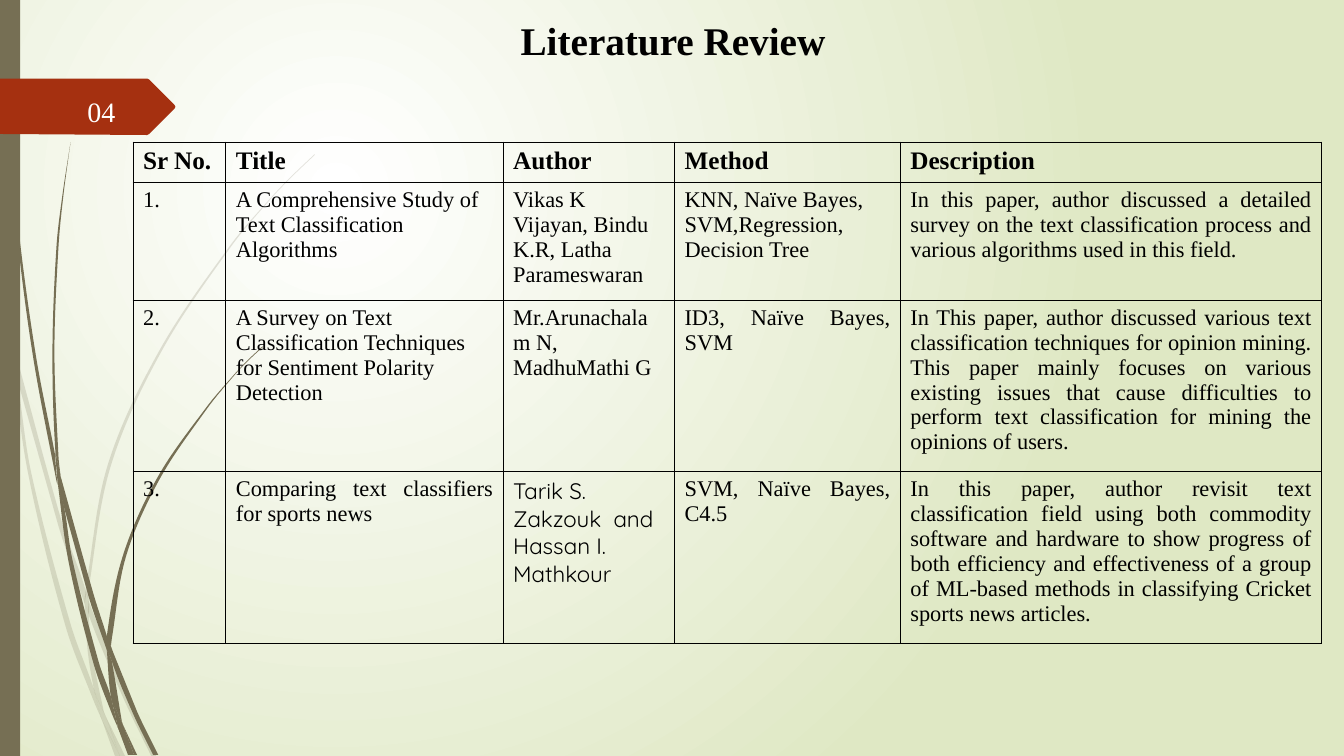
from math import dist

from lxml import etree
from pptx import Presentation
from pptx import util as u
from pptx.dml.color import RGBColor
from pptx.enum import shapes, text
from pptx.oxml.ns import qn

COLORS = {"stem": "766F54", "rust": "A53010", "ink": "000000",
          "white": "FFFFFF", "lime": "DFE8C4"}
SERIF = "Times New Roman"
LEFT, JUSTIFY, CENTER = (text.PP_ALIGN.LEFT, text.PP_ALIGN.JUSTIFY, text.PP_ALIGN.CENTER)

deck = Presentation()
deck.slide_width, deck.slide_height = u.Inches(13.33), u.Inches(7.5)
slide = deck.slides.add_slide(deck.slide_layouts[6])

backdrop = slide.background.fill
backdrop.gradient()
for stop, name in zip(backdrop.gradient_stops, ("white", "lime")):
    stop.color.rgb = RGBColor.from_string(COLORS[name])
backdrop.gradient_stops[0].position = 0
backdrop.gradient_stops[1].position = 1
gradient = slide.element.find(".//" + qn("a:gradFill"))
gradient.remove(gradient.find(qn("a:lin")))
glow = etree.SubElement(gradient, qn("a:path"), path="circle")
etree.SubElement(glow, qn("a:fillToRect"), l="50000", t="50000", r="100000", b="100000")


def style_text(frame, size, color, align, bold=False, font=SERIF):
    paragraph = frame.paragraphs[0]
    paragraph.alignment = align
    run = paragraph.runs[0].font
    run.size, run.bold, run.name = u.Pt(size), bold, font
    run.color.rgb = RGBColor.from_string(COLORS[color])


def draw_outline(points, color):
    corners = [(u.Inches(x), u.Inches(y)) for x, y in points]
    builder = slide.shapes.build_freeform(*corners[0])
    builder.add_line_segments(corners[1:])
    outline = builder.convert_to_shape()
    outline.shadow.inherit = False
    outline.fill.solid()
    outline.fill.fore_color.rgb = RGBColor.from_string(COLORS[color])
    outline.line.fill.background()
    return outline


pale_pieces = [
    [(0.11, 3.5), (0.09, 3.22), (0, 2.82), (0, 2.99), (0.1, 3.44)],
    [(0.58, 5.22), (0.84, 5.99), (0.85, 5.86), (0.62, 5.2), (0.14, 3.45), (0.17, 3.76)],
    [(0.92, 6.07), (0.88, 5.96), (0.88, 6.1), (1.23, 6.94), (1.5, 7.5), (1.55, 7.5),
     (1.27, 6.92)],
    [(1.19, 7.5), (1.24, 7.5), (1.05, 7.11)],
    [(0.93, 6.83), (0.7, 6.19), (0.31, 4.69), (0.17, 3.76), (0.11, 3.5), (0.28, 4.7),
     (0.65, 6.21), (0.92, 6.93), (1.01, 7.14), (0.99, 7.07)],
    [(0.84, 5.99), (0.87, 6.46), (0.93, 6.83), (0.96, 6.92), (1.05, 7.11), (1.03, 7.06),
     (0.91, 6.46), (0.88, 6.1), (0.88, 6.08)],
    [(0.88, 5.84), (1.1, 4.62), (1.6, 3.49), (2.29, 2.45), (2.68, 1.98), (2.9, 1.75),
     (3.12, 1.54), (3.12, 1.53), (2.89, 1.75), (2.68, 1.97), (2.28, 2.44), (1.58, 3.48),
     (1.07, 4.61), (0.85, 5.84), (0.85, 5.86), (0.88, 5.96)],
    [(1.01, 7.14), (1.14, 7.5), (1.19, 7.5)],
    [(0.88, 6.08), (0.88, 6.1), (0.88, 5.96), (0.85, 5.86), (0.84, 5.99)],
    [(0.96, 6.92), (0.93, 6.83), (0.99, 7.07), (1.01, 7.14), (1.19, 7.5), (1.05, 7.11)],
]
dark_pieces = [
    [(0.07, 1.1), (0.17, 2.33), (0.33, 3.55), (0.56, 4.77), (0.57, 4.81), (0.55, 4.57),
     (0.55, 4.53), (0.36, 3.55), (0.19, 2.32), (0.08, 1.09), (0.05, 0.48), (0.04, 0),
     (0.03, 0), (0.04, 0.48)],
    [(0.88, 5.92), (1.06, 6.45), (1.06, 6.33), (1.06, 6.31), (0.93, 5.9), (0.6, 4.72),
     (0.64, 5.05)],
    [(1.13, 6.49), (1.1, 6.41), (1.11, 6.56), (1.32, 7.08), (1.52, 7.49), (1.57, 7.49),
     (1.36, 7.06)],
    [(1.1, 6.91), (0.98, 6.57), (0.72, 5.56), (0.64, 5.05), (0.57, 4.77), (0.68, 5.57),
     (0.93, 6.59), (1.11, 7.08), (1.17, 7.22), (1.16, 7.17)],
    [(0.6, 4.72), (0.58, 4.53), (0.54, 3.49), (0.58, 2.45), (0.63, 1.93), (0.7, 1.41),
     (0.62, 1.93), (0.56, 2.45), (0.52, 3.49), (0.55, 4.49)],
    [(1.33, 7.49), (1.36, 7.49), (1.22, 7.19)],
    [(0.57, 4.77), (0.64, 5.05), (0.6, 4.72), (0.55, 4.49), (0.55, 4.53)],
    [(1.11, 6.33), (1.25, 5.52), (1.58, 4.76), (2.05, 4.06), (2.31, 3.74), (2.45, 3.59),
     (2.61, 3.44), (2.6, 3.44), (2.45, 3.58), (2.31, 3.73), (2.04, 4.05), (1.56, 4.74),
     (1.22, 5.51), (1.06, 6.31), (1.1, 6.41)],
    [(1.17, 7.22), (1.27, 7.49), (1.31, 7.49)],
    [(1.06, 6.45), (1.1, 6.91), (1.16, 7.06), (1.22, 7.19), (1.21, 7.16), (1.11, 6.56),
     (1.09, 6.51)],
    [(1.06, 6.45), (1.09, 6.51), (1.11, 6.56), (1.1, 6.41), (1.06, 6.31), (1.06, 6.33)],
    [(1.16, 7.06), (1.1, 6.91), (1.16, 7.17), (1.17, 7.22), (1.3, 7.49), (1.33, 7.49),
     (1.22, 7.19)],
]
for pieces, opacity in ((pale_pieces, 20), (dark_pieces, 100)):
    for knots in pieces:
        grass = draw_outline(knots, "stem")
        if opacity < 100:
            tint = grass.element.spPr.find(".//" + qn("a:srgbClr"))
            etree.SubElement(tint, qn("a:alpha"), val=str(opacity * 1000))
        count = len(knots)
        headings = []
        for i, (x, y) in enumerate(knots):
            (px, py), (nx, ny) = knots[i - 1], knots[(i + 1) % count]
            span_in, span_out = dist((px, py), (x, y)), dist((x, y), (nx, ny))
            turn = ((x - px) * (nx - x) + (y - py) * (ny - y)) / (span_in * span_out)
            chord = dist((px, py), (nx, ny))
            headings.append(((nx - px) / chord, (ny - py) / chord) if turn > 0.8 else None)
        for i, line in enumerate(grass.element.spPr.findall(".//" + qn("a:lnTo"))):
            start, end = knots[i], knots[(i + 1) % count]
            reach = dist(start, end)
            straight = tuple((b - a) / reach for a, b in zip(start, end))
            leave, arrive = headings[i] or straight, headings[(i + 1) % count] or straight
            handles = [[a + reach * d / 3 for a, d in zip(start, leave)],
                       [b - reach * d / 3 for b, d in zip(end, arrive)], end]
            curve = etree.Element(qn("a:cubicBezTo"))
            for x, y in handles:
                etree.SubElement(curve, qn("a:pt"), x=str(u.Inches(x) - grass.left),
                                 y=str(u.Inches(y) - grass.top))
            line.getparent().replace(line, curve)

side_bar = slide.shapes.add_shape(shapes.MSO_SHAPE.RECTANGLE, 0, 0, u.Inches(0.2), u.Inches(7.5))
side_bar.shadow.inherit = False
side_bar.fill.solid()
side_bar.fill.fore_color.rgb = RGBColor.from_string(COLORS["stem"])
side_bar.line.fill.background()
draw_outline([(0, 0.78), (1.46, 0.78), (1.48, 0.79), (1.73, 1.04), (1.74, 1.06),
              (1.73, 1.08), (1.48, 1.33), (1.46, 1.34), (0, 1.33)], "rust")

heading = slide.shapes.add_textbox(u.Inches(0.02), u.Inches(0.11), u.Inches(13.31), u.Inches(0.57))
heading.text_frame.word_wrap = True
heading.text_frame.text = "Literature Review"
style_text(heading.text_frame, 28, "ink", CENTER, bold=True)

papers = [
    ["Sr No.", "Title", "Author", "Method", "Description"],
    ["1.", "A Comprehensive Study of Text Classification Algorithms",
     "Vikas K Vijayan, Bindu K.R, Latha Parameswaran",
     "KNN, Naïve Bayes, SVM,Regression, Decision Tree",
     "In this paper, author discussed a detailed survey on the text classification process "
     "and various algorithms used in this field."],
    ["2.", "A Survey on Text Classification Techniques for Sentiment Polarity Detection",
     "Mr.Arunachalam N, MadhuMathi G", "ID3, Naïve Bayes, SVM",
     "In This paper, author discussed various text classification techniques for opinion "
     "mining. This paper mainly focuses on various existing issues that cause difficulties "
     "to perform text classification for mining the opinions of users."],
    ["3.", "Comparing text classifiers for sports news",
     "Tarik S. Zakzouk  and Hassan I. Mathkour", "SVM, Naïve Bayes, C4.5",
     "In this paper, author revisit text classification field using both commodity software "
     "and hardware to show progress of both efficiency and effectiveness of a group of "
     "ML-based methods in classifying Cricket sports news articles."],
]
justified = {(1, 4), (2, 0), (2, 3), (2, 4), (3, 0), (3, 1), (3, 3), (3, 4)}
review = slide.shapes.add_table(4, 5, u.Inches(1.32), u.Inches(1.41),
                                u.Inches(11.79), u.Inches(4.97)).table
for column, width in zip(review.columns, (0.92, 2.75, 1.7, 2.24, 4.18)):
    column.width = u.Inches(width)
for row, height in zip(review.rows, (0.4, 1.17, 1.7, 1.7)):
    row.height = u.Inches(height)
for r, paper in enumerate(papers):
    for c, entry in enumerate(paper):
        cell = review.cell(r, c)
        cell.text = entry
        style_text(cell.text_frame, 16 if r else 18, "ink",
                   JUSTIFY if (r, c) in justified else LEFT, bold=r == 0,
                   font="Quicksand" if (r, c) == (3, 2) else SERIF)
        properties = cell._tc.get_or_add_tcPr()
        for side in ("lnL", "lnR", "lnT", "lnB"):
            border = etree.SubElement(properties, qn("a:" + side), w=str(u.Pt(1)))
            paint = etree.SubElement(border, qn("a:solidFill"))
            etree.SubElement(paint, qn("a:srgbClr"), val=COLORS["ink"])
        cell.fill.background()

page_number = slide.shapes.add_shape(shapes.MSO_SHAPE.RECTANGLE, u.Inches(0.59), u.Inches(0.93),
                                     u.Inches(0.83), u.Inches(0.35))
page_number.shadow.inherit = False
page_number.fill.solid()
page_number.fill.fore_color.rgb = RGBColor.from_string(COLORS["rust"])
page_number.line.color.rgb = RGBColor.from_string(COLORS["rust"])
page_number.line.width = u.Pt(1.25)
page_number.text_frame.vertical_anchor = text.MSO_ANCHOR.MIDDLE
page_number.text_frame.text = "04"
style_text(page_number.text_frame, 20, "white", CENTER)

deck.save("out.pptx")
